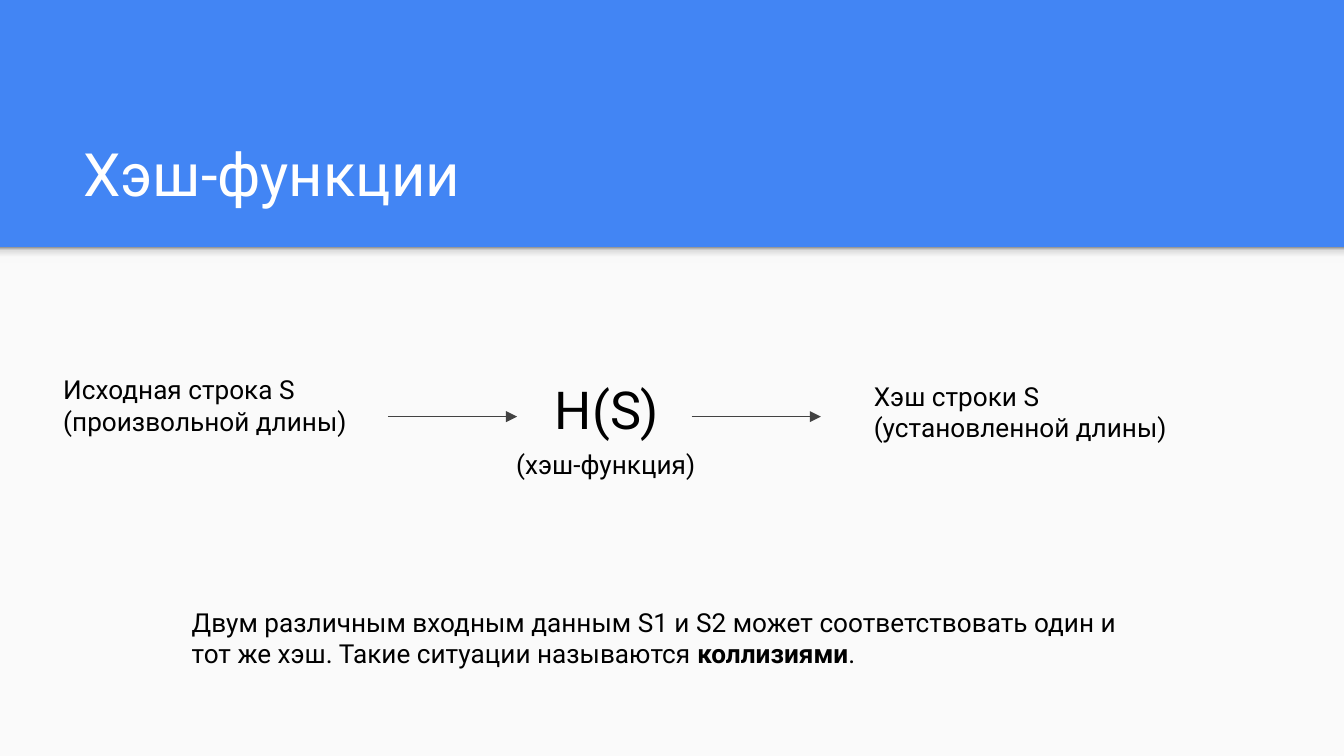
"""Builds a slide that explains hash functions and collisions."""
from lxml.etree import SubElement
from pptx import Presentation
from pptx.dml.color import RGBColor
from pptx.enum.shapes import MSO_CONNECTOR, MSO_SHAPE
from pptx.enum.text import MSO_ANCHOR, PP_ALIGN
from pptx.oxml.ns import qn
from pptx.util import Pt

COLORS = {
    "blue": "4285F4",
    "paper": "FAFAFA",
    "white": "FFFFFF",
    "black": "000000",
    "arrow": "424242",
}
SHADOW_STOPS = [(0, "F9F9F9"), (36, "F9F9F9"), (80, "DEDEDE"), (100, "999999")]
FONT = "Roboto"
WIDTH, HEIGHT = 720, 405
BAND_BOTTOM = 132.5
ARROW_Y, ARROW_LENGTH = 223.2, 69.2


def rgb(name):
    return RGBColor.from_string(COLORS[name])


def write_text(sp, text, size=14, color="black", align=PP_ALIGN.LEFT, anchor=MSO_ANCHOR.TOP):
    """Fill a shape with text: lines become paragraphs, **marked** parts become bold."""
    tf = sp.text_frame
    tf.word_wrap = True
    tf.vertical_anchor = anchor
    tf.margin_left = tf.margin_right = tf.margin_top = tf.margin_bottom = Pt(7.2)
    for i, line in enumerate(text.split("\n")):
        p = tf.add_paragraph() if i else tf.paragraphs[0]
        p.alignment = align
        p.line_spacing = 1.0
        p.space_before = Pt(0)
        for j, part in enumerate(line.split("**")):
            r = p.add_run()
            r.text = part
            r.font.name = FONT
            r.font.size = Pt(size)
            r.font.bold = j % 2 == 1
            r.font.color.rgb = rgb(color)


def add_text(s, left, top, width, height, text, **fmt):
    sp = s.shapes.add_textbox(Pt(left), Pt(top), Pt(width), Pt(height))
    write_text(sp, text, **fmt)
    return sp


def add_panel(s, top, height):
    sp = s.shapes.add_shape(MSO_SHAPE.RECTANGLE, 0, Pt(top), Pt(WIDTH), Pt(height))
    sp.shadow.inherit = False
    sp.line.fill.background()
    return sp


def add_background(s):
    s.background.fill.solid()
    s.background.fill.fore_color.rgb = rgb("blue")
    paper = add_panel(s, BAND_BOTTOM, HEIGHT - BAND_BOTTOM)
    paper.fill.solid()
    paper.fill.fore_color.rgb = rgb("paper")
    shade = add_panel(s, BAND_BOTTOM, 8.6)
    shade.fill.gradient()
    shade.fill.gradient_angle = 90
    stops = next(shade.element.iter(qn("a:gsLst")))
    for stop in list(stops):
        stops.remove(stop)
    for percent, color in SHADOW_STOPS:
        stop = SubElement(stops, qn("a:gs"), pos=str(percent * 1000))
        SubElement(stop, qn("a:srgbClr"), val=color)


def add_title(s, text):
    title = s.shapes.title
    title.left, title.top, title.width, title.height = Pt(37.4), Pt(58.3), Pt(647.3), Pt(60.5)
    write_text(title, text, size=32, color="white", anchor=MSO_ANCHOR.BOTTOM)


def add_arrow(s, left, source=None):
    arrow = s.shapes.add_connector(
        MSO_CONNECTOR.STRAIGHT, Pt(left), Pt(ARROW_Y), Pt(left + ARROW_LENGTH), Pt(ARROW_Y)
    )
    if source is not None:
        arrow.begin_connect(source, 3)
    arrow.line.width = Pt(0.75)
    arrow.line.color.rgb = rgb("arrow")
    SubElement(arrow.line._get_or_add_ln(), qn("a:tailEnd"), type="triangle")
    SubElement(arrow.element.spPr, qn("a:effectLst"))


def main():
    prs = Presentation()
    prs.slide_width, prs.slide_height = Pt(WIDTH), Pt(HEIGHT)
    s = prs.slides.add_slide(prs.slide_layouts[5])
    add_background(s)
    add_title(s, "Хэш-функции")
    source = add_text(s, 26.8, ARROW_Y - 30.2, 181, 60.4, "Исходная строка S\n(произвольной длины)")
    add_text(s, 290.2, 195.1, 103.7, 51.1, "H(S)", size=28)
    add_text(s, 461, 196.6, 181, 60.4, "Хэш строки S\n(установленной длины)")
    add_arrow(s, 207.8, source)
    add_arrow(s, 370.6)
    add_text(s, 267.6, 233.3, 113.8, 31.7, "(хэш-функция)", align=PP_ALIGN.CENTER)
    add_text(
        s, 95.6, 317.6, 533.5, 63.4,
        "Двум различным входным данным S1 и S2 может соответствовать один и тот же хэш. "
        "Такие ситуации называются **коллизиями**.",
    )
    prs.save("out.pptx")


if __name__ == "__main__":
    main()
